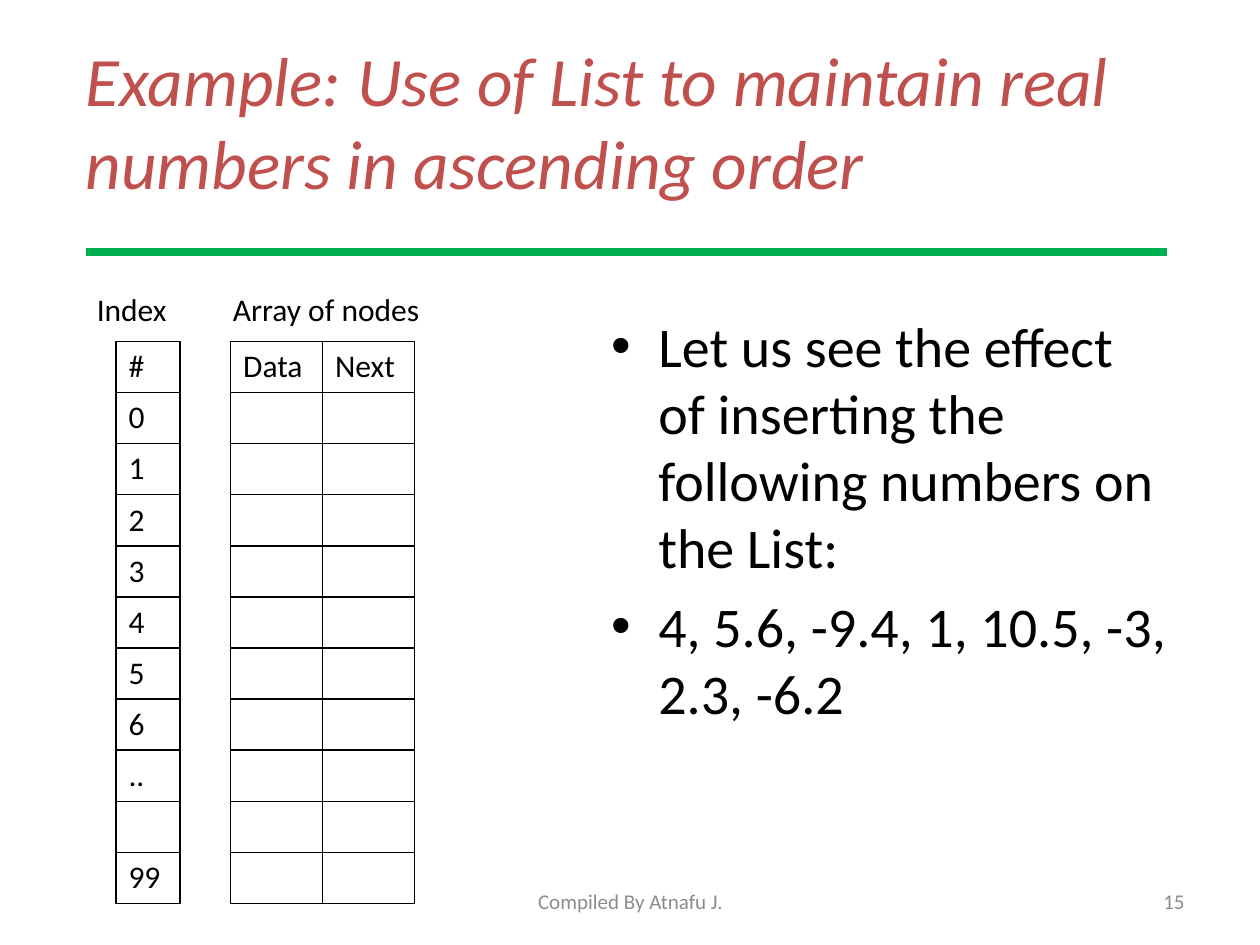
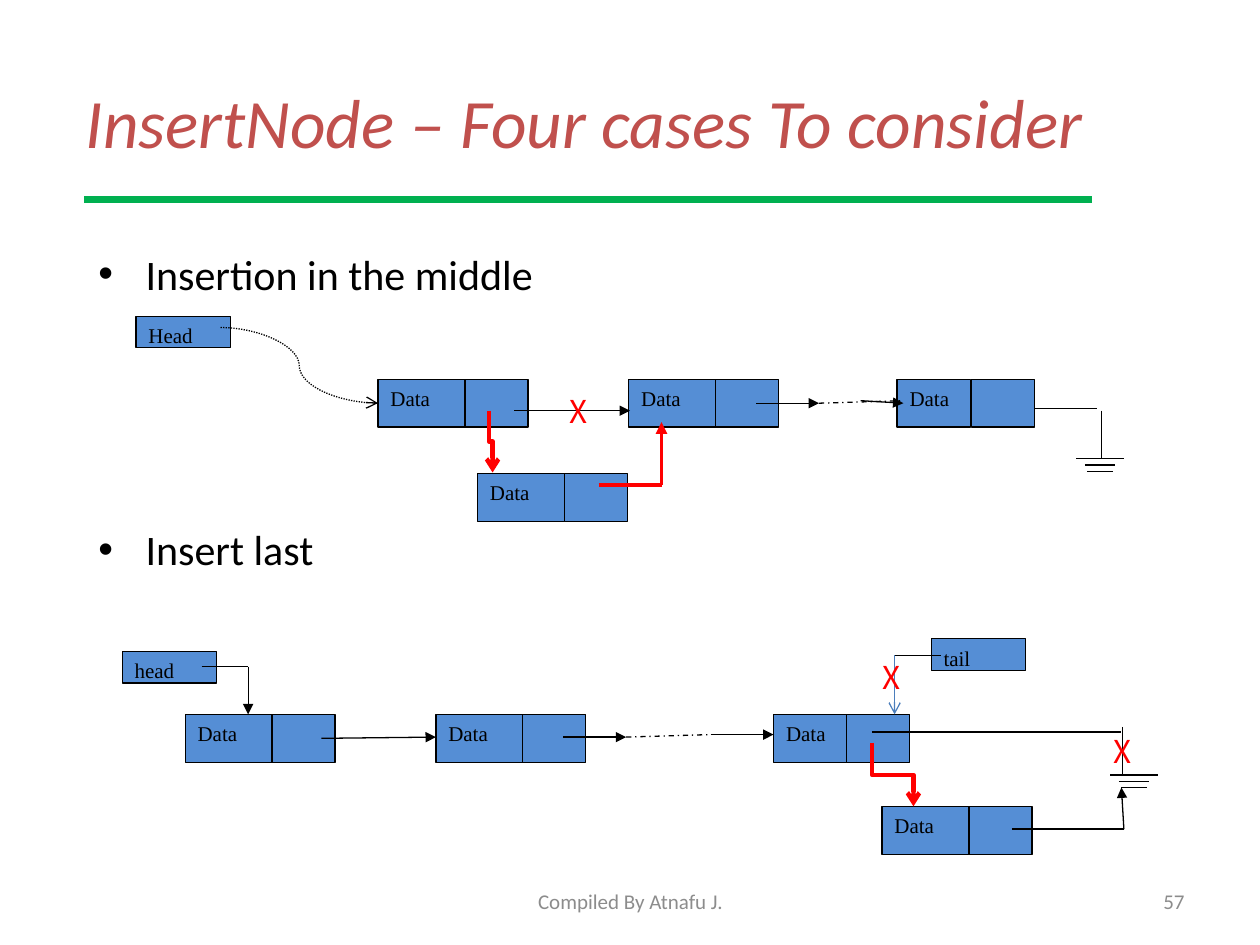
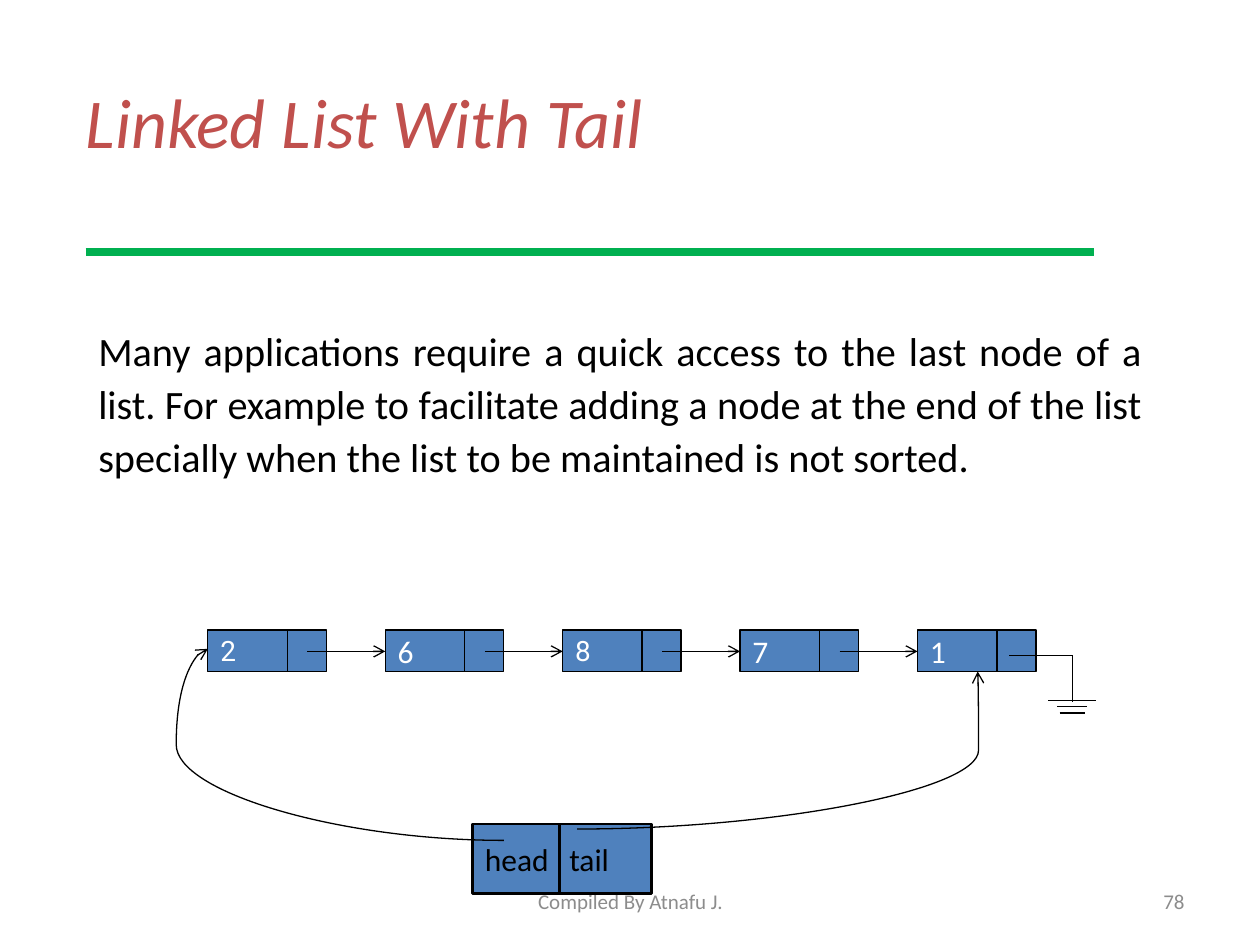
from dataclasses import dataclass
from typing import Optional

from lxml.etree import SubElement
from pptx import Presentation
from pptx.dml.color import RGBColor
from pptx.enum.dml import MSO_LINE
from pptx.enum.shapes import MSO_CONNECTOR, MSO_SHAPE
from pptx.enum.text import MSO_ANCHOR, MSO_AUTO_SIZE, PP_ALIGN
from pptx.oxml.ns import qn
from pptx.slide import Slide
from pptx.text.text import TextFrame
from pptx.util import Emu, Inches, Pt

WIDTH, HEIGHT = Inches(10), Inches(7.5)
COLUMNS, ROWS = 100, 75
BLACK = RGBColor(0x00, 0x00, 0x00)
WHITE = RGBColor(0xFF, 0xFF, 0xFF)
RED = RGBColor(0xFF, 0x00, 0x00)
GREEN = RGBColor(0x00, 0xB0, 0x50)
TITLE_RED = RGBColor(0xC0, 0x50, 0x4D)
FOOTER_GRAY = RGBColor(0x8C, 0x8C, 0x8C)
LIGHT_BLUE = RGBColor(0x55, 0x8E, 0xD5)
MID_BLUE = RGBColor(0x4F, 0x81, 0xBD)
LINK_BLUE = RGBColor(0x4B, 0x7E, 0xBC)
SANS, SERIF = "Calibri", "Times New Roman"
CROSS_FONT, DIGIT_FONT = "Noto Sans CJK TC", "Roboto"


@dataclass(frozen=True)
class Box:
    """A rectangle in grid columns and rows."""

    left: float
    top: float
    width: float
    height: float

    def place(self) -> tuple[Emu, Emu, Emu, Emu]:
        """Return left, top, width and height as lengths."""
        return across(self.left), down(self.top), across(self.width), down(self.height)


@dataclass(frozen=True)
class Node:
    """A list node: a data cell partly covered by its next cell."""

    left: float
    top: float
    data_width: float = 8.8
    next_offset: float = 6.9


@dataclass(frozen=True)
class Link:
    """A line between two grid points, with its look."""

    start: tuple[float, float]
    end: tuple[float, float]
    arrow: str = ""
    color: RGBColor = BLACK
    weight: float = 0.75
    dash: Optional[MSO_LINE] = None
    kind: MSO_CONNECTOR = MSO_CONNECTOR.STRAIGHT
    bend: int = 50000


TITLE_BOX = Box(5.8, 3.3, 90, 12.5)
FOOTER_BOX = Box(34.2, 69.5, 31.7, 4)
NUMBER_BOX = Box(71.7, 69.5, 23.3, 4)


def across(columns: float) -> Emu:
    """Turn grid columns into a length."""
    return Emu(round(WIDTH * columns / COLUMNS))


def down(rows: float) -> Emu:
    """Turn grid rows into a length."""
    return Emu(round(HEIGHT * rows / ROWS))


def write(frame: TextFrame, text: str, *, size: float = 18, font: str = SANS,
          color: RGBColor = BLACK, italic: bool = False,
          align: PP_ALIGN = PP_ALIGN.LEFT, anchor: MSO_ANCHOR = MSO_ANCHOR.TOP,
          wrap: bool = True, bullet: bool = True, line_spacing: Optional[float] = None,
          gap: Optional[float] = None) -> None:
    """Fill a frame with one formatted paragraph for each line of text."""
    frame.auto_size = MSO_AUTO_SIZE.NONE
    frame.word_wrap = wrap
    frame.vertical_anchor = anchor
    for index, line in enumerate(text.split("\n")):
        paragraph = frame.add_paragraph() if index else frame.paragraphs[0]
        if not bullet:
            properties = paragraph._p.get_or_add_pPr()
            properties.set("marL", "0")
            properties.set("indent", "0")
            SubElement(properties, qn("a:buNone"))
        paragraph.alignment = align
        if line_spacing:
            paragraph.line_spacing = line_spacing
        if index == 0:
            paragraph.space_before = Pt(0)
        elif gap is not None:
            paragraph.space_before = Pt(gap)
        run = paragraph.add_run()
        run.text = line
        run.font.size = Pt(size)
        run.font.name = font
        run.font.italic = italic
        run.font.color.rgb = color


def add_label(slide: Slide, box: Box, text: str, **text_format) -> None:
    """Add a text box."""
    write(slide.shapes.add_textbox(*box.place()).text_frame, text, **text_format)


def add_cell(slide: Slide, box: Box, text: str = "", *, fill: RGBColor = LIGHT_BLUE,
             weight: float = 0.75, **text_format) -> None:
    """Add an outlined rectangle, with text if given."""
    shape = slide.shapes.add_shape(MSO_SHAPE.RECTANGLE, *box.place())
    shape.shadow.inherit = False
    shape.fill.solid()
    shape.fill.fore_color.rgb = fill
    shape.line.color.rgb = BLACK
    shape.line.width = Pt(weight)
    if text:
        write(shape.text_frame, text, **text_format)


def add_node(slide: Slide, node: Node) -> None:
    """Add the data and next cells of a node."""
    add_cell(slide, Box(node.left, node.top, node.data_width, 3.8), "Data",
             size=12, font=SERIF)
    add_cell(slide, Box(node.left + node.next_offset, node.top, 5, 3.8))


def add_pointer(slide: Slide, left: float, top: float, name: str) -> None:
    """Add a small named pointer cell."""
    add_cell(slide, Box(left, top, 7.5, 2.5), name, size=12, font=SERIF)


def add_link(slide: Slide, link: Link) -> None:
    """Add a connector; an elbow leaves its start downwards."""
    (start_x, start_y), (end_x, end_y) = link.start, link.end
    elbow = link.kind == MSO_CONNECTOR.ELBOW
    if elbow:
        middle_x, middle_y = (start_x + end_x) / 2, (start_y + end_y) / 2
        half_run, half_drop = (end_x - start_x) / 2, (end_y - start_y) / 2
        start_x, end_x = middle_x - half_drop, middle_x + half_drop
        start_y, end_y = middle_y - half_run, middle_y + half_run
    connector = slide.shapes.add_connector(
        link.kind, across(start_x), down(start_y), across(end_x), down(end_y))
    connector.line.color.rgb = link.color
    connector.line.width = Pt(link.weight)
    if link.dash:
        connector.line.dash_style = link.dash
    properties = connector.element.spPr
    if elbow:
        properties.xfrm.set("rot", "16200000")
        properties.xfrm.set("flipH", "1")
    if link.bend != 50000:
        geometry = properties.find(qn("a:prstGeom"))
        adjustments = geometry.find(qn("a:avLst"))
        if adjustments is None:
            adjustments = SubElement(geometry, qn("a:avLst"))
        SubElement(adjustments, qn("a:gd"), name="adj1", fmla=f"val {link.bend}")
    if link.arrow:
        SubElement(properties.find(qn("a:ln")), qn("a:tailEnd"), type=link.arrow)
    SubElement(properties, qn("a:effectLst"))


def add_ground(slide: Slide, center: float, top: float) -> None:
    """Add the three shrinking lines that end a list."""
    for index, width in enumerate((3.8, 2.4, 2)):
        y = top + 0.5 * index
        add_link(slide, Link((center - width / 2, y), (center + width / 2, y)))


def add_cross(slide: Slide, left: float, top: float) -> None:
    """Mark a removed link."""
    add_label(slide, Box(left, top, 3.6, 4), "X", font=CROSS_FONT, color=RED, wrap=False)


def add_grid(slide: Slide, box: Box, rows: list[list[str]]) -> None:
    """Add a plain table with thin black borders."""
    table = slide.shapes.add_table(len(rows), len(rows[0]), *box.place()).table
    table.first_row = table.horz_banding = False
    for row, texts in zip(table.rows, rows):
        for cell, text in zip(row.cells, texts):
            if text:
                write(cell.text_frame, text)
            properties = cell._tc.get_or_add_tcPr()
            for side in ("a:lnL", "a:lnR", "a:lnT", "a:lnB"):
                border = SubElement(properties, qn(side), w=str(Pt(1)))
                fill = SubElement(border, qn("a:solidFill"))
                SubElement(fill, qn("a:srgbClr"), val=str(BLACK))
            cell.fill.background()


def start_slide(presentation: Presentation, title: str, number: int, body_box: Box,
                body: str, rule: Link, title_size: float = 39.6, **body_format) -> Slide:
    """Add a slide with its title, rule, body text and footer."""
    slide = presentation.slides.add_slide(presentation.slide_layouts[1])
    for placeholder, box in zip(slide.placeholders, (TITLE_BOX, body_box)):
        placeholder.left, placeholder.top, placeholder.width, placeholder.height = box.place()
    write(slide.shapes.title.text_frame, title, size=title_size, color=TITLE_RED,
          italic=True, anchor=MSO_ANCHOR.MIDDLE)
    write(slide.placeholders[1].text_frame, body, **body_format)
    add_link(slide, rule)
    for box, text, align in ((FOOTER_BOX, "Compiled By Atnafu J.", PP_ALIGN.CENTER),
                             (NUMBER_BOX, str(number), PP_ALIGN.RIGHT)):
        add_label(slide, box, text, size=12, color=FOOTER_GRAY, align=align,
                  anchor=MSO_ANCHOR.MIDDLE)
    return slide


def title_rule(left: float, right: float, y: float) -> Link:
    """Return the green rule under a title."""
    return Link((left, y), (right, y), color=GREEN, weight=4.25)


def build_array_slide(presentation: Presentation) -> None:
    """Build the slide on a list kept in an array."""
    slide = start_slide(
        presentation, "Example: Use of List to maintain real numbers in ascending order", 15,
        Box(47.5, 24.2, 46.5, 42),
        "Let us see the effect of inserting the following numbers on the List:\n"
        "4, 5.6, -9.4, 1, 10.5, -3, 2.3, -6.2",
        title_rule(6.8, 92.6, 20), size=32)
    indexes = ["#", *map(str, range(7)), "..", "", "99"]
    add_grid(slide, Box(18.3, 27.1, 14.6, 44.6), [["Data", "Next"]] + [["", ""]] * 10)
    add_grid(slide, Box(9.2, 27.1, 5.1, 44.6), [[index] for index in indexes])
    add_label(slide, Box(6.7, 22.5, 7.6, 4), "Index", wrap=False)
    add_label(slide, Box(17.5, 22.5, 17, 4), "Array of nodes", wrap=False)


def build_insert_slide(presentation: Presentation) -> None:
    """Build the slide on inserting in the middle and at the end."""
    slide = start_slide(
        presentation, "InsertNode – Four cases To consider", 57, Box(6.8, 19.2, 85, 50.8),
        "Insertion in the middle\nInsert last", title_rule(6.7, 86.7, 15.85),
        size=24, gap=128.5)
    middle_top, last_top = 30.1, 56.7
    nodes = [
        Node(30, middle_top), Node(49.9, middle_top), Node(71.2, middle_top, 5.8, 5.9),
        Node(37.9, 37.6),
        Node(14.7, last_top), Node(34.6, last_top), Node(61.4, last_top, 5.8, 5.8),
        Node(70, 64),
    ]
    for node in nodes:
        add_node(slide, node)
    for left, top, name in ((10.8, 25.1, "Head"), (9.7, 51.7, "head"), (73.9, 50.7, "tail")):
        add_pointer(slide, left, top, name)
    for center, top in ((87.3, 36.4), (90, 61.5)):
        add_ground(slide, center, top)
    links = [
        Link((17.5, 26), (30, 32), "arrow", dash=MSO_LINE.ROUND_DOT,
             kind=MSO_CONNECTOR.CURVE),
        Link((40.8, 32.6), (50, 32.6), "triangle"),
        Link((60, 32), (65, 32), "triangle"),
        Link((65, 32), (71.7, 31.8), dash=MSO_LINE.DASH_DOT),
        Link((68.3, 31.8), (71.7, 32), "triangle"),
        Link((82.1, 32.4), (87.1, 32.4)),
        Link((87.4, 32.6), (87.4, 36.4)),
        Link((38.8, 32.6), (39.1, 37.5), "arrow", RED, 2.5, kind=MSO_CONNECTOR.ELBOW),
        Link((47.5, 38.5), (52.5, 38.5), "", RED, 2.25),
        Link((52.5, 38.5), (52.5, 33.5), "triangle", RED, 2.25),
        Link((16, 52.9), (19.7, 52.9)),
        Link((19.7, 52.9), (19.7, 56.7), "triangle"),
        Link((25.5, 58.6), (34.6, 58.5), "triangle"),
        Link((44.7, 58.5), (49.7, 58.5), "triangle"),
        Link((49.7, 58.5), (56.4, 58.3), dash=MSO_LINE.DASH_DOT),
        Link((56.4, 58.3), (61.4, 58.3), "triangle"),
        Link((69.2, 58.1), (89, 58.1)),
        Link((89.1, 57.7), (89.1, 61.5)),
        Link((71, 52), (74.7, 52)),
        Link((71, 52), (71, 56.7), "arrow", LINK_BLUE),
        Link((69.2, 59), (72.5, 64), "arrow", RED, 2.5, kind=MSO_CONNECTOR.ELBOW),
        Link((80.3, 65.8), (89.2, 65.8)),
        Link((89.2, 65.8), (89, 62.5), "triangle"),
    ]
    for link in links:
        add_link(slide, link)
    for left, top in ((44.2, 30.6), (69.1, 51.7), (87.4, 57.6)):
        add_cross(slide, left, top)


def build_tail_slide(presentation: Presentation) -> None:
    """Build the slide on a list with head and tail pointers."""
    slide = start_slide(
        presentation, "Linked List With Tail", 78, Box(6.8, 25, 85, 45),
        "Many applications require a quick access to the last node of a list. "
        "For example to facilitate adding a node at the end of the list specially "
        "when the list to be maintained is not sorted. ",
        title_rule(6.8, 86.8, 20), title_size=40, size=23, bullet=False,
        align=PP_ALIGN.JUSTIFY, line_spacing=1.1)
    first_left, pitch, top, height = 16.5, 14.08, 50, 3.3
    values = "26871"
    for index, value in enumerate(values):
        left = first_left + index * pitch
        font, size = (DIGIT_FONT, 16) if value in "28" else (SANS, 18)
        add_cell(slide, Box(left, top, 9.4, height), value, fill=MID_BLUE, size=size,
                 font=font, color=WHITE, anchor=MSO_ANCHOR.MIDDLE, wrap=False)
        add_link(slide, Link((left + 6.3, top), (left + 6.3, top + height)))
        if index < len(values) - 1:
            add_link(slide, Link((left + 7.9, 51.7), (left + pitch, 51.7), "arrow"))
    for left, width, name in ((44.2, 7.5, "tail"), (37.5, 6.9, "head")):
        add_cell(slide, Box(left, 65.4, width, 5.5), name, fill=MID_BLUE, weight=1.5,
                 anchor=MSO_ANCHOR.MIDDLE, wrap=False)
    add_ground(slide, 85.1, 55.6)
    for link in (
        Link((80.1, 52), (85.1, 52)),
        Link((85.1, 52), (85.1, 55.7)),
        Link((45.8, 65.8), (77.6, 53.3), "arrow", kind=MSO_CONNECTOR.CURVE, bend=100200),
        Link((40, 66.7), (16.5, 51.5), "arrow", kind=MSO_CONNECTOR.CURVE, bend=110700),
    ):
        add_link(slide, link)


def main() -> None:
    """Build and save the presentation."""
    presentation = Presentation()
    presentation.slide_width, presentation.slide_height = WIDTH, HEIGHT
    build_array_slide(presentation)
    build_insert_slide(presentation)
    build_tail_slide(presentation)
    presentation.save("out.pptx")


if __name__ == "__main__":
    main()
